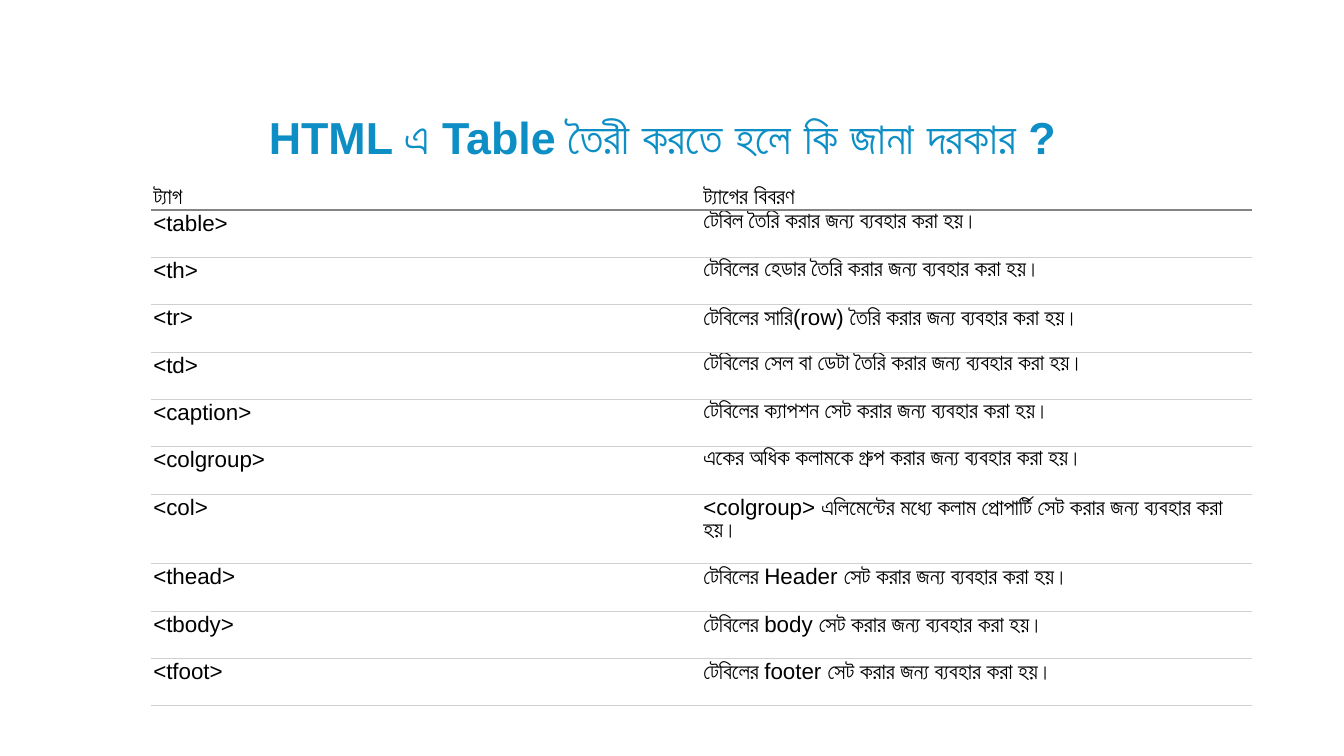
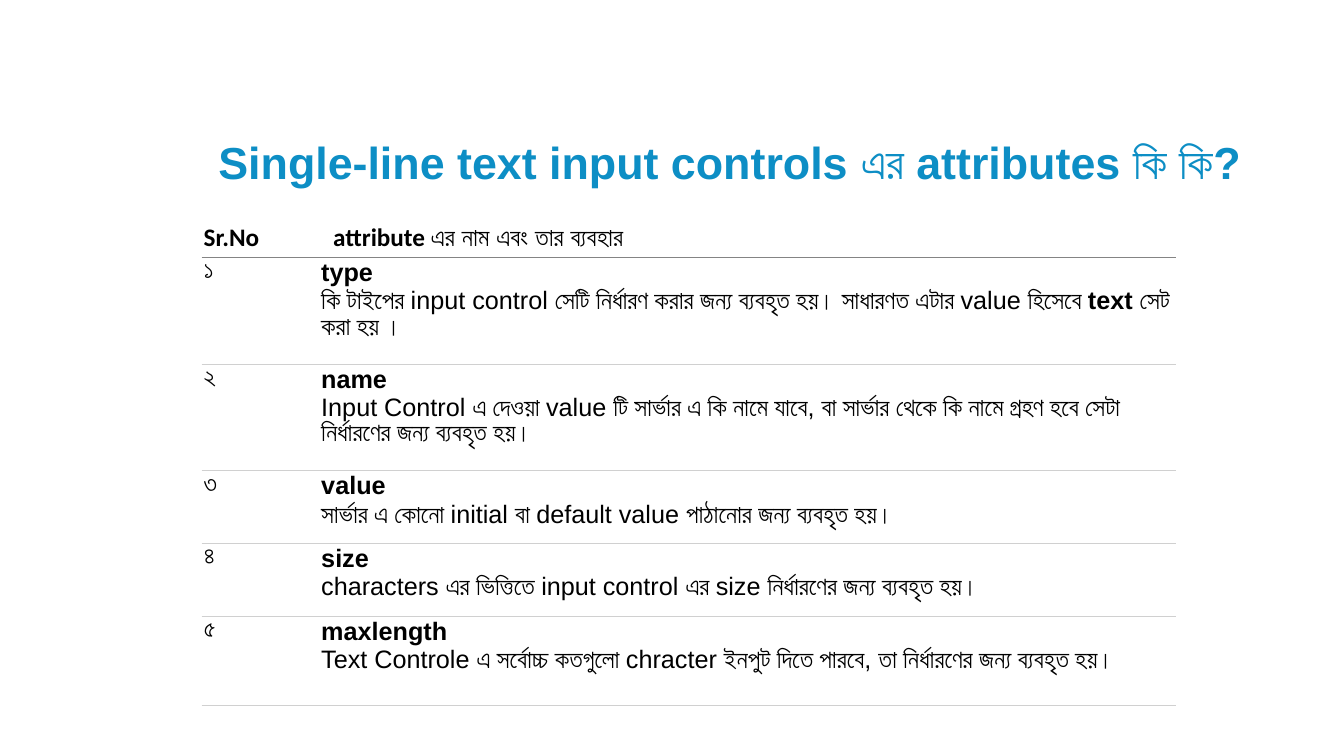
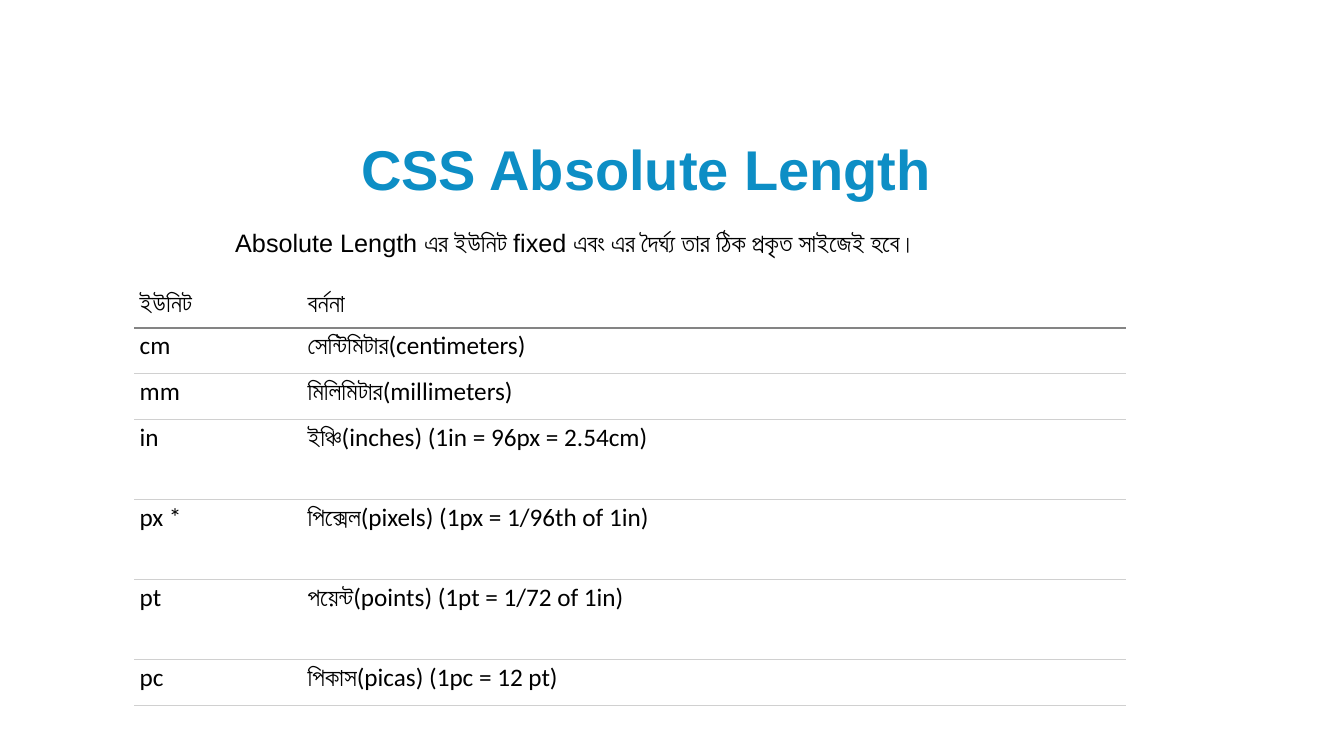
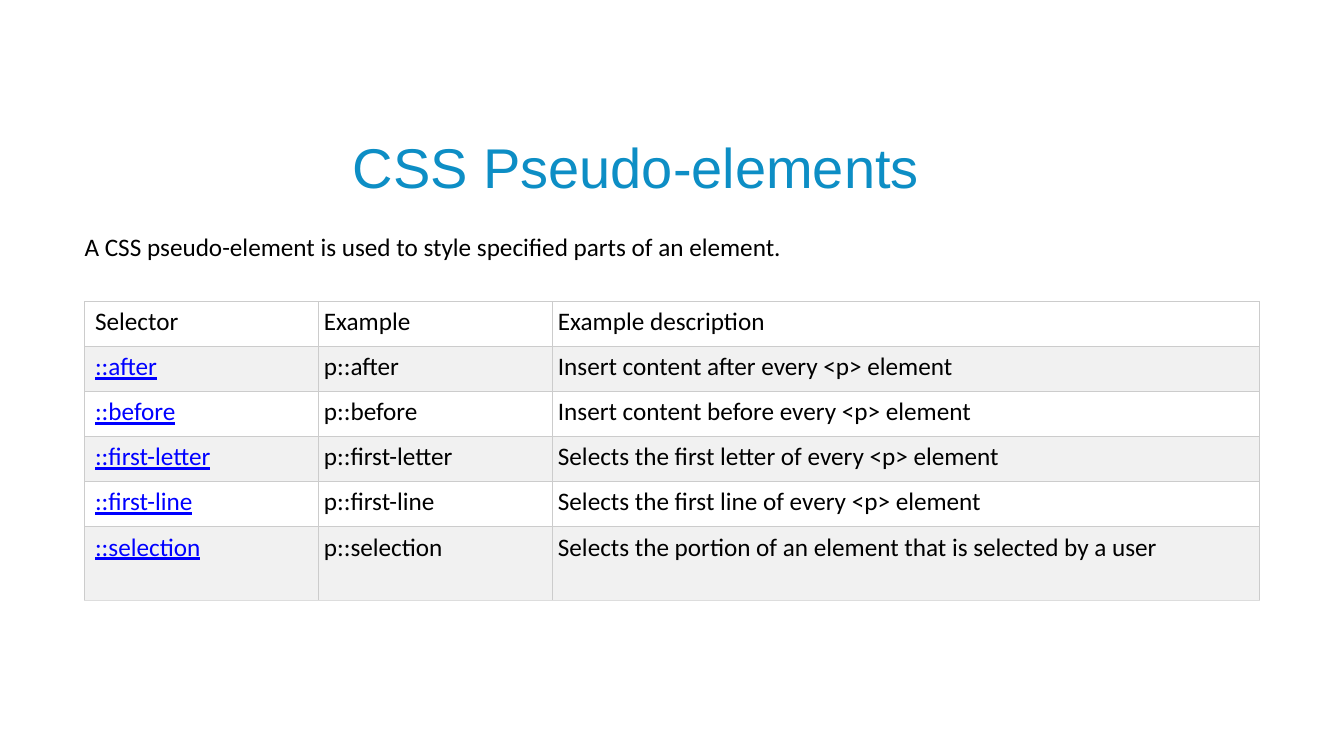
from lxml import etree
from pptx import Presentation
from pptx.dml import color
from pptx.enum import text as t
from pptx.oxml import ns
from pptx.util import Pt

COLORS = {"title": "0D8EC5", "text": "000000", "link": "0000FF", "header_line": "848484",
          "row_line": "D0D0D0", "grid": "CCCCCC", "grid_end": "DDDDDD",
          "plain": "FFFFFF", "band": "F1F1F1"}

SLIDES = [
    {
        "title": {"content": "HTML এ Table তৈরী করতে হলে কি জানা দরকার ?",
                  "box": (192, 78, 840, 39), "size": 32, "bold": True},
        "table": {
            "at": (108, 132), "columns": (393, 393), "font": "Arial", "size": 16,
            "heights": [18] + [33.84] * 6 + [49.8] + [33.84] * 3, "inset": (1.5, 0.75),
            "rows": [
                ("ট্যাগ", "ট্যাগের বিবরণ"),
                ("<table>", "টেবিল তৈরি করার জন্য ব্যবহার করা হয়।"),
                ("<th>", "টেবিলের হেডার তৈরি করার জন্য ব্যবহার করা হয়।"),
                ("<tr>", "টেবিলের সারি(row) তৈরি করার জন্য ব্যবহার করা হয়।"),
                ("<td>", "টেবিলের সেল বা ডেটা তৈরি করার জন্য ব্যবহার করা হয়।"),
                ("<caption>", "টেবিলের ক্যাপশন সেট করার জন্য ব্যবহার করা হয়।"),
                ("<colgroup>", "একের অধিক কলামকে গ্রুপ করার জন্য ব্যবহার করা হয়।"),
                ("<col>", "<colgroup> এলিমেন্টের মধ্যে কলাম প্রোপার্টি সেট করার জন্য ব্যবহার করা হয়।"),
                ("<thead>", "টেবিলের Header সেট করার জন্য ব্যবহার করা হয়।"),
                ("<tbody>", "টেবিলের body সেট করার জন্য ব্যবহার করা হয়।"),
                ("<tfoot>", "টেবিলের footer সেট করার জন্য ব্যবহার করা হয়।"),
            ],
        },
    },
    {
        "title": {"content": "Single-line text input controls এর attributes কি কি?",
                  "box": (156, 96, 785.5, 39), "size": 32, "bold": True},
        "table": {
            "at": (144, 156), "columns": (84, 612), "font": "Arial", "header_font": "Calibri",
            "size": 18, "heights": [28, 76.2, 76.2, 51.9, 51.9, 64], "inset": (1.5, 0.75),
            "lefts": {(0, 1): 10},
            "rows": [
                ("Sr.No", "attribute এর নাম এবং তার ব্যবহার"),
                ("১", [("type", True), "\n",
                       "কি টাইপের input control সেটি নির্ধারণ করার জন্য ব্যবহৃত হয়। সাধারণত এটার value হিসেবে ",
                       ("text ", True), "সেট করা হয় ।"]),
                ("২", [("name", True), "\n",
                       "Input Control এ দেওয়া value টি সার্ভার এ কি নামে যাবে, বা সার্ভার থেকে কি নামে গ্রহণ হবে সেটা নির্ধারণের জন্য ব্যবহৃত হয়।"]),
                ("৩", [("value", True), "\n",
                       "সার্ভার এ কোনো initial বা default value পাঠানোর জন্য ব্যবহৃত হয়।"]),
                ("৪", [("size", True), "\n",
                       "characters এর ভিত্তিতে input control এর size নির্ধারণের জন্য ব্যবহৃত হয়।"]),
                ("৫", [("maxlength", True), "\n",
                       "Text Controle এ সর্বোচ্চ কতগুলো chracter ইনপুট দিতে পারবে, তা নির্ধারণের জন্য ব্যবহৃত হয়।"]),
            ],
        },
    },
    {
        "title": {"content": "CSS Absolute Length",
                  "box": (258, 96, 443.5, 48), "size": 40, "bold": True},
        "body": {"content": "Absolute Length এর ইউনিট fixed এবং এর দৈর্ঘ্য তার ঠিক প্রকৃত সাইজেই হবে।",
                 "box": (168, 162, 840, 21.6), "size": 18, "font": "Arial"},
        "table": {
            "at": (96, 201.6), "columns": (120, 588), "font": "Calibri", "size": 18,
            "heights": [32.7] * 3 + [57.2] * 3 + [32.7], "inset": (3.75, 2),
            "rows": [
                ("ইউনিট", "বর্ননা"),
                ("cm", "সেন্টিমিটার(centimeters)"),
                ("mm", "মিলিমিটার(millimeters)"),
                ("in", "ইঞ্চি(inches) (1in = 96px = 2.54cm)"),
                ("px *", "পিক্সেল(pixels) (1px = 1/96th of 1in)"),
                ("pt", "পয়েন্ট(points) (1pt = 1/72 of 1in)"),
                ("pc", "পিকাস(picas) (1pc = 12 pt)"),
            ],
        },
    },
    {
        "title": {"content": "CSS Pseudo-elements", "box": (252, 94.5, 456, 48), "size": 40},
        "body": {"content": "A CSS pseudo-element is used to style specified parts of an element.",
                 "box": (60.4, 165, 840, 21.6), "size": 18, "font": "Calibri"},
        "table": {
            "at": (60.4, 215.4), "columns": (167.2, 167.2, 505), "font": "Calibri", "size": 18,
            "heights": [32.2] * 5 + [53], "inset": (3.75, 3.75), "grid": True,
            "lefts": {(row, 0): 7.5 for row in range(6)},
            "rows": [
                ("Selector", "Example", "Example description"),
                ("::after", "p::after", "Insert content after every <p> element"),
                ("::before", "p::before", "Insert content before every <p> element"),
                ("::first-letter", "p::first-letter", "Selects the first letter of every <p> element"),
                ("::first-line", "p::first-line", "Selects the first line of every <p> element"),
                ("::selection", "p::selection", "Selects the portion of an element that is selected by a user"),
            ],
        },
    },
]


def write(frame, content, size, font="Arial", fill="text", bold=False, underline=False):
    paragraph = frame.paragraphs[0]
    paragraph.alignment = t.PP_ALIGN.LEFT
    paragraph.space_before = Pt(0)
    for piece in [content] if isinstance(content, str) else content:
        if piece == "\n":
            paragraph.add_line_break()
            continue
        words, strong = (piece, bold) if isinstance(piece, str) else piece
        run = paragraph.add_run()
        run.text = words
        run.font.size, run.font.name = Pt(size), font
        run.font.bold, run.font.underline = strong, underline
        run.font.color.rgb = color.RGBColor.from_string(COLORS[fill])


def fill_placeholder(shape, box, **text_format):
    shape.left, shape.top, shape.width, shape.height = map(Pt, box)
    frame = shape.text_frame
    frame.margin_left = frame.margin_top = frame.margin_right = frame.margin_bottom = 0
    frame.vertical_anchor = t.MSO_ANCHOR.TOP
    frame.word_wrap = True
    frame.auto_size = t.MSO_AUTO_SIZE.NONE
    write(frame, **text_format)
    properties = frame.paragraphs[0]._p.get_or_add_pPr()
    properties.set("marL", "0")
    properties.set("indent", "0")
    etree.SubElement(properties, ns.qn("a:buNone"))


def set_borders(cell, borders):
    properties = cell._tc.get_or_add_tcPr()
    for side in "LRTB":
        line = etree.SubElement(properties, ns.qn("a:ln" + side))
        if side in borders:
            name, width = borders[side]
            line.set("w", str(Pt(width)))
            solid = etree.SubElement(line, ns.qn("a:solidFill"))
            etree.SubElement(solid, ns.qn("a:srgbClr"), val=COLORS[name])
        else:
            etree.SubElement(line, ns.qn("a:noFill"))


def cell_borders(grid, row, last):
    if grid:
        borders = {side: ("grid", 0.75) for side in "LRTB"}
        if row == last:
            borders["B"] = ("grid_end", 0.75)
        return borders
    header, thin = ("header_line", 1.5), ("row_line", 0.75)
    if row == 0:
        return {"B": header}
    return {"T": header if row == 1 else thin, "B": thin}


def add_table(slide, at, columns, heights, rows, inset, font, size,
              header_font=None, lefts=None, grid=False):
    frame = slide.shapes.add_table(len(rows), len(columns), *map(Pt, at),
                                   Pt(sum(columns)), Pt(sum(heights)))
    table = frame.table
    table.first_row = table.horz_banding = False
    for column, width in zip(table.columns, columns):
        column.width = Pt(width)
    side, edge = map(Pt, inset)
    for r, (row, height) in enumerate(zip(rows, heights)):
        table.rows[r].height = Pt(height)
        header = r == 0
        for c, content in enumerate(row):
            cell = table.cell(r, c)
            cell.margin_left = Pt((lefts or {}).get((r, c), inset[0]))
            cell.margin_right = side
            cell.margin_top = cell.margin_bottom = edge
            cell.vertical_anchor = t.MSO_ANCHOR.MIDDLE if header and not grid else t.MSO_ANCHOR.TOP
            set_borders(cell, cell_borders(grid, r, len(rows) - 1))
            if grid:
                cell.fill.solid()
                cell.fill.fore_color.rgb = color.RGBColor.from_string(COLORS["band" if r % 2 else "plain"])
            else:
                cell.fill.background()
            link = grid and c == 0 and not header
            write(cell.text_frame, content, size, font=header_font if header and header_font else font,
                  fill="link" if link else "text", bold=header and not grid, underline=link)


def main():
    presentation = Presentation()
    presentation.slide_width, presentation.slide_height = Pt(960), Pt(540)
    for page in SLIDES:
        layout = presentation.slide_layouts[1 if "body" in page else 5]
        slide = presentation.slides.add_slide(layout)
        fill_placeholder(slide.shapes.title, fill="title", **page["title"])
        if "body" in page:
            fill_placeholder(slide.placeholders[1], **page["body"])
        add_table(slide, **page["table"])
    presentation.save("out.pptx")


if __name__ == "__main__":
    main()
